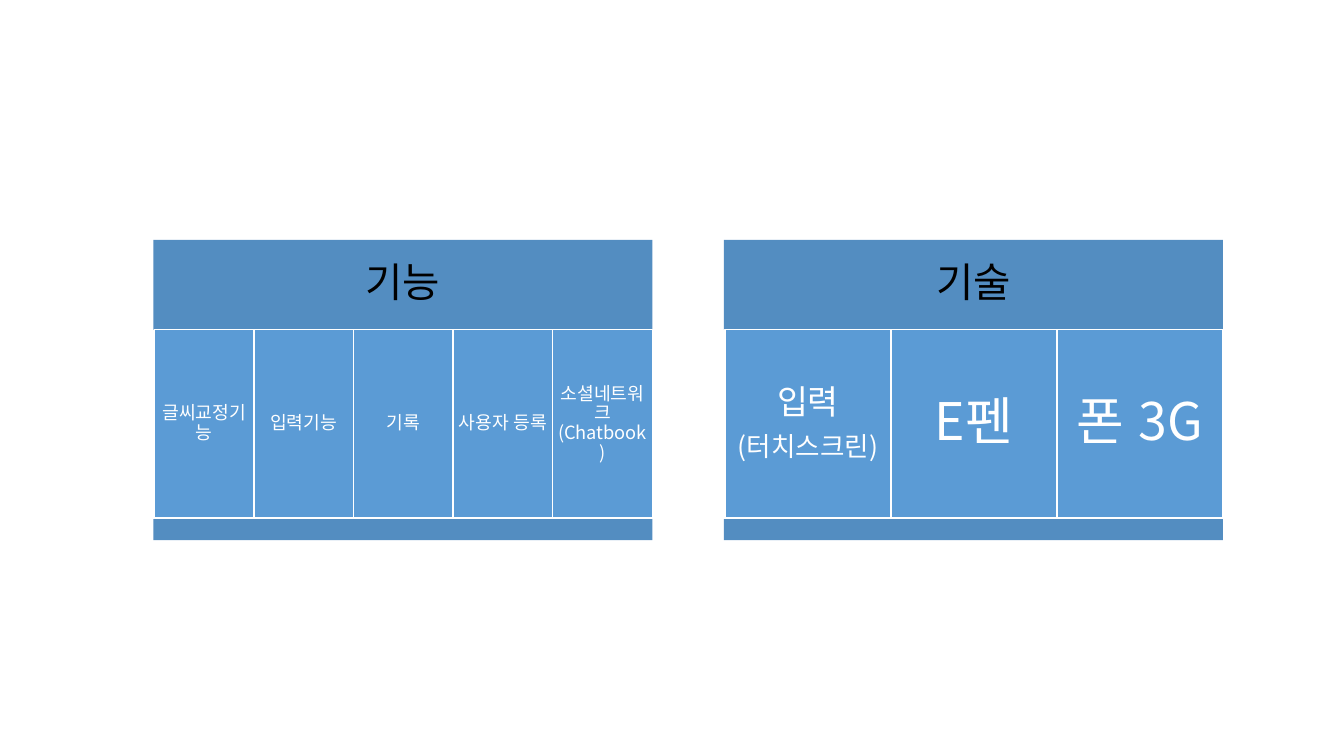
"""Build a slide with two panels listing functions and technologies."""
from dataclasses import dataclass

from lxml.etree import SubElement
from pptx import Presentation
from pptx.dml.color import RGBColor
from pptx.enum.lang import MSO_LANGUAGE_ID
from pptx.enum.shapes import MSO_SHAPE
from pptx.enum.text import MSO_ANCHOR, PP_ALIGN
from pptx.oxml.ns import qn
from pptx.util import Inches, Pt

PANELS = [
    {
        "title": "기능",
        "left": 1.52,
        "cells": [
            [("글씨교정기능", "small")],
            [("입력기능", "small")],
            [("기록", "small")],
            [("사용자 등록", "small")],
            [("소셜네트워크(Chatbook)", "small")],
        ],
        "margins": [0.05] * 5,
    },
    {
        "title": "기술",
        "left": 7.18,
        "cells": [
            [("입력", "medium"), ("(터치스크린)", "detail")],
            [("E펜", "large")],
            [("폰 3G", "large")],
        ],
        "margins": [0.1, 0.15, 0.15],
    },
]


@dataclass(frozen=True)
class Theme:
    """Colours, font and type sizes of the slide."""

    band = RGBColor.from_string("538DC1")
    cell = RGBColor.from_string("5B9BD5")
    light = RGBColor.from_string("FFFFFF")
    dark = RGBColor.from_string("000000")
    font = "Noto Sans CJK KR"
    sizes = {"small": 13, "detail": 19, "medium": 24, "title": 29, "large": 37}


THEME = Theme()
PANEL_WIDTH = 4.95
TITLE_TOP, TITLE_HEIGHT = 2.38, 0.89
CELL_TOP, CELL_HEIGHT = 3.27, 1.87
FOOTER_TOP, FOOTER_HEIGHT = 5.15, 0.21
CELL_INSET = 0.01


def add_box(slide, left, top, width, height, fill, line=None):
    """Add a rectangle with a flat fill and an optional outline."""
    shape = slide.shapes.add_shape(
        MSO_SHAPE.RECTANGLE, Inches(left), Inches(top), Inches(width), Inches(height)
    )
    shape.shadow.inherit = False
    shape.fill.solid()
    shape.fill.fore_color.rgb = fill
    if line is None:
        shape.line.fill.background()
    else:
        shape.line.color.rgb = line
        shape.line.width = Pt(1)
    return shape


def write_text(shape, lines, color, margin):
    """Write centred lines, each with its own type size."""
    frame = shape.text_frame
    frame.word_wrap = True
    frame.vertical_anchor = MSO_ANCHOR.MIDDLE
    frame.margin_left = frame.margin_right = Inches(margin)
    frame.margin_top = frame.margin_bottom = Inches(margin)
    frame.text = "\n".join(text for text, _ in lines)
    for paragraph, (_, size_name) in zip(frame.paragraphs, lines):
        size = THEME.sizes[size_name]
        paragraph.alignment = PP_ALIGN.CENTER
        paragraph.line_spacing = 0.9
        paragraph.space_after = Pt(round(size * 0.35))
        for run in paragraph.runs:
            run.font.size = Pt(size)
            run.font.color.rgb = color
            run.font.name = THEME.font
            run.font.language_id = MSO_LANGUAGE_ID.KOREAN
            SubElement(run.font._element, qn("a:ea"), typeface=THEME.font)


def add_panel(slide, panel):
    """Add a title band, a row of equal cells and a footer band."""
    left = panel["left"]
    title = add_box(slide, left, TITLE_TOP, PANEL_WIDTH, TITLE_HEIGHT, THEME.band)
    write_text(title, [(panel["title"], "title")], THEME.dark, 0.12)
    cell_width = (PANEL_WIDTH - CELL_INSET) / len(panel["cells"])
    for index, (lines, margin) in enumerate(zip(panel["cells"], panel["margins"])):
        cell_left = left + CELL_INSET + index * cell_width
        cell = add_box(
            slide, cell_left, CELL_TOP, cell_width, CELL_HEIGHT, THEME.cell, THEME.light
        )
        write_text(cell, lines, THEME.light, margin)
    add_box(slide, left, FOOTER_TOP, PANEL_WIDTH, FOOTER_HEIGHT, THEME.band)


presentation = Presentation()
presentation.slide_width = Inches(13.33)
presentation.slide_height = Inches(7.5)
slide = presentation.slides.add_slide(presentation.slide_layouts[6])
for panel in PANELS:
    add_panel(slide, panel)
presentation.save("out.pptx")
